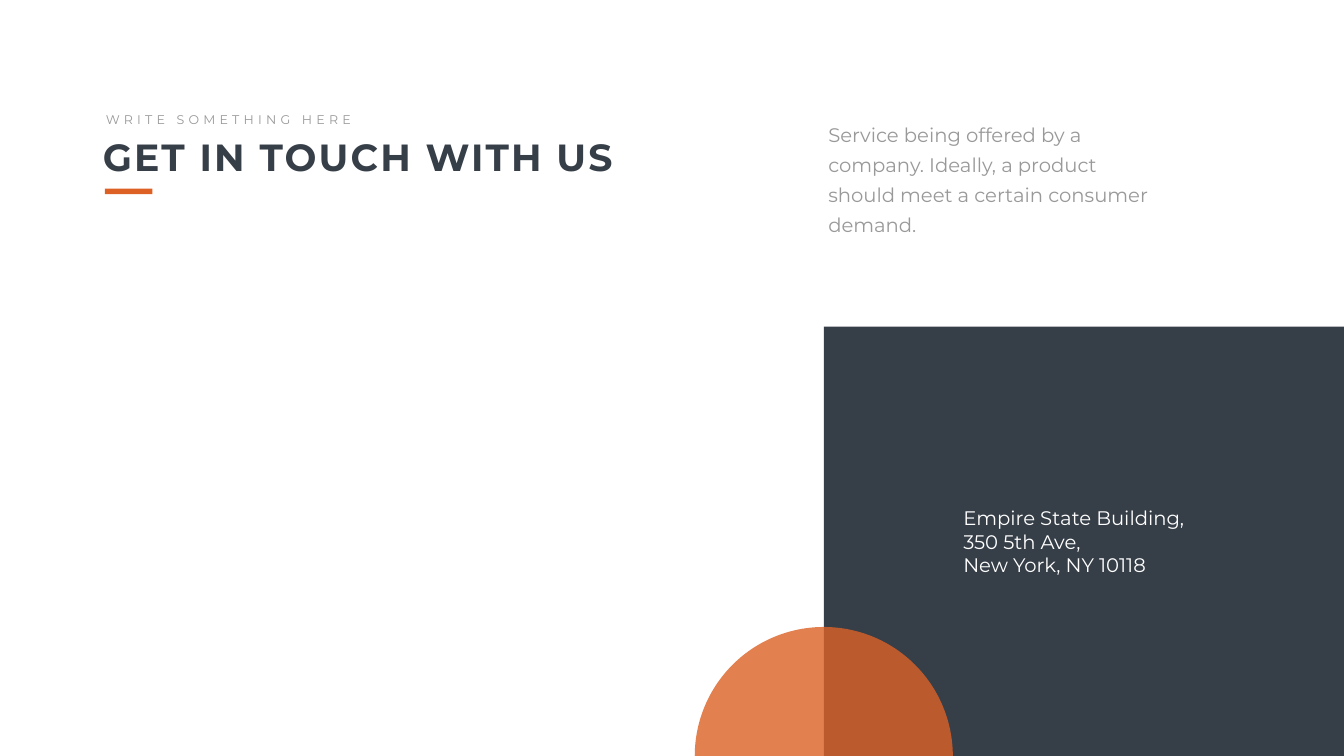
"""Build a contact slide with a heading, a short text and an address panel."""
from dataclasses import dataclass
from typing import Optional

from lxml import etree
from pptx import Presentation
from pptx.dml.color import RGBColor
from pptx.enum.shapes import MSO_SHAPE
from pptx.enum.text import MSO_ANCHOR, MSO_AUTO_SIZE, PP_ALIGN
from pptx.oxml.ns import qn
from pptx.shapes.autoshape import Shape
from pptx.slide import Slide
from pptx.util import Pt

RECTANGLE, CHORD = MSO_SHAPE.RECTANGLE, MSO_SHAPE.CHORD
TOP, LEFT = MSO_ANCHOR.TOP, PP_ALIGN.LEFT
FIT_TEXT = MSO_AUTO_SIZE.SHAPE_TO_FIT_TEXT
FONT = "Montserrat"
COLORS = {"navy": "363E48", "orange": "DD6125", "grey": "999999", "white": "FFFFFF"}
SLIDE_WIDTH, SLIDE_HEIGHT = 1919.5, 1080
PANEL_LEFT, PANEL_TOP = 1176.5, 466.6
RADIUS = 184.3
TITLE_ONLY_LAYOUT = 5


@dataclass(frozen=True)
class Box:
    left: float
    top: float
    width: float
    height: float


@dataclass(frozen=True)
class TextBlock:
    box: Box
    lines: tuple[str, ...]
    size: float
    color: str
    bold: bool = False
    tracking: float = 0
    wrap: bool = True
    inset_x: float = 7.2
    inset_y: float = 3.6
    line_spacing: Optional[float] = None
    space_before: float = 0


@dataclass(frozen=True)
class Block:
    box: Box
    color: str
    kind: int = RECTANGLE
    rotation: float = 0
    adjustments: tuple[float, ...] = ()
    opacity: int = 100


TITLE = TextBlock(Box(139.7, 187.2, 820, 72.7), ("GET IN TOUCH WITH US",),
                  54, "navy", bold=True, tracking=3)
KICKER = TextBlock(Box(144, 156.2, 373, 28.8), ("WRITE SOMETHING HERE",),
                   18, "grey", tracking=6, wrap=False)
ADDRESS = TextBlock(Box(1368.7, 719.3, 357.8, 108.7),
                    ("Empire State Building, 350 5th Ave,", "New York, NY 10118"),
                    28, "white")
DESCRIPTION = TextBlock(
    Box(1165.7, 157, 518.4, 144),
    ("Service being offered by a company. Ideally, a product should meet "
     "a certain consumer demand.",),
    28, "grey", inset_x=17.28, inset_y=8.64, line_spacing=43, space_before=5.6)

ACCENT_BAR = Block(Box(149.8, 269.3, 67.7, 7.9), "orange")
PANEL = Block(Box(PANEL_LEFT, PANEL_TOP, SLIDE_WIDTH - PANEL_LEFT,
                  SLIDE_HEIGHT - PANEL_TOP), "navy")
HALF_DISC = Block(Box(PANEL_LEFT - RADIUS, SLIDE_HEIGHT - RADIUS, 2 * RADIUS, 2 * RADIUS),
                  "orange", CHORD, rotation=90, adjustments=(53.76, 162), opacity=80)


def place(shape: Shape, box: Box) -> None:
    """Move and size a shape."""
    shape.left, shape.top = Pt(box.left), Pt(box.top)
    shape.width, shape.height = Pt(box.width), Pt(box.height)


def write_text(shape: Shape, block: TextBlock) -> None:
    """Fill a shape with formatted paragraphs."""
    frame = shape.text_frame
    frame.word_wrap = block.wrap
    frame.auto_size = FIT_TEXT
    frame.vertical_anchor = TOP
    frame.margin_left = frame.margin_right = Pt(block.inset_x)
    frame.margin_top = frame.margin_bottom = Pt(block.inset_y)
    for index, line in enumerate(block.lines):
        paragraph = frame.add_paragraph() if index else frame.paragraphs[0]
        paragraph.alignment = LEFT
        paragraph.space_before = Pt(block.space_before)
        if block.line_spacing:
            paragraph.line_spacing = Pt(block.line_spacing)
        run = paragraph.add_run()
        run.text = line
        run.font.name = FONT
        run.font.size = Pt(block.size)
        run.font.bold = block.bold
        run.font.color.rgb = RGBColor.from_string(COLORS[block.color])
    if block.tracking:
        for properties in shape.element.iter(qn("a:rPr")):
            properties.set("spc", str(round(block.tracking * 100)))
    place(shape, block.box)


def add_text(slide: Slide, block: TextBlock) -> None:
    """Add a text box."""
    box = block.box
    shape = slide.shapes.add_textbox(Pt(box.left), Pt(box.top), Pt(box.width), Pt(box.height))
    write_text(shape, block)


def add_block(slide: Slide, block: Block) -> None:
    """Add a plain filled shape."""
    box = block.box
    shape = slide.shapes.add_shape(block.kind, Pt(box.left), Pt(box.top),
                                   Pt(box.width), Pt(box.height))
    shape.shadow.inherit = False
    shape.rotation = block.rotation
    for index, value in enumerate(block.adjustments):
        shape.adjustments[index] = value
    shape.fill.solid()
    shape.fill.fore_color.rgb = RGBColor.from_string(COLORS[block.color])
    shape.line.fill.background()
    if block.opacity < 100:
        color = next(shape.element.iter(qn("a:srgbClr")))
        etree.SubElement(color, qn("a:alpha")).set("val", str(block.opacity * 1000))


def main() -> None:
    """Build and save the presentation."""
    presentation = Presentation()
    presentation.slide_width, presentation.slide_height = Pt(SLIDE_WIDTH), Pt(SLIDE_HEIGHT)
    slide = presentation.slides.add_slide(presentation.slide_layouts[TITLE_ONLY_LAYOUT])
    write_text(slide.shapes.title, TITLE)
    add_text(slide, KICKER)
    add_block(slide, ACCENT_BAR)
    add_block(slide, PANEL)
    add_text(slide, ADDRESS)
    add_block(slide, HALF_DISC)
    add_text(slide, DESCRIPTION)
    presentation.save("out.pptx")


if __name__ == "__main__":
    main()
